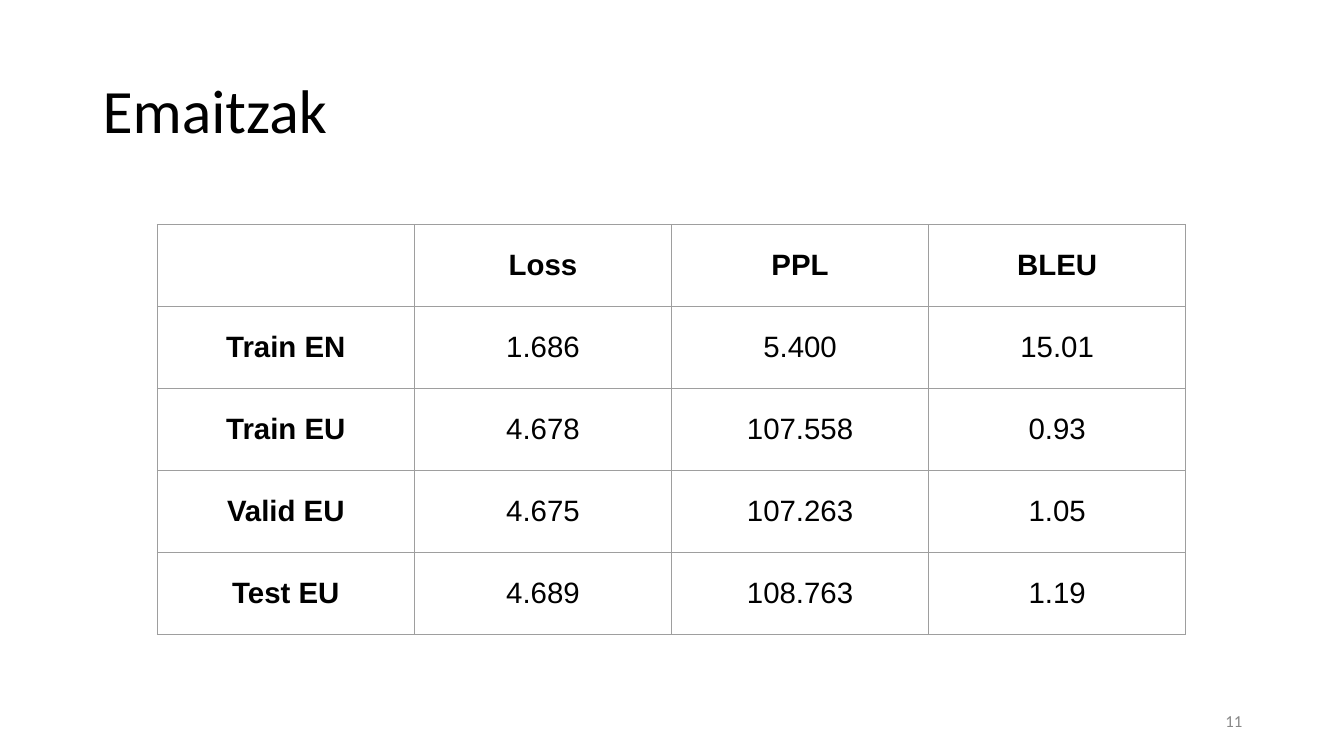
from lxml import etree
from pptx import Presentation
from pptx.dml.color import RGBColor
from pptx.enum.text import MSO_ANCHOR, PP_ALIGN
from pptx.oxml.ns import qn
from pptx.util import Inches, Pt

MIDDLE = MSO_ANCHOR.MIDDLE
LEFT, CENTER, RIGHT = PP_ALIGN.LEFT, PP_ALIGN.CENTER, PP_ALIGN.RIGHT

# Content
TITLE = "Emaitzak"
PAGE_NUMBER = "11"
RESULTS = [
    ("", "Loss", "PPL", "BLEU"),
    ("Train EN", "1.686", "5.400", "15.01"),
    ("Train EU", "4.678", "107.558", "0.93"),
    ("Valid EU", "4.675", "107.263", "1.05"),
    ("Test EU", "4.689", "108.763", "1.19"),
]
COLORS = {"text": "000000", "page": "888888", "border": "9E9E9E"}
COLUMN_WIDTH, ROW_HEIGHT, CELL_MARGIN = Inches(2.55), Inches(0.813), Inches(0.1)


def style_text(paragraph, font_name, size, color, align, bold=False):
    paragraph.alignment = align
    for run in paragraph.runs:
        run.font.name = font_name
        run.font.size = Pt(size)
        run.font.bold = bold
        run.font.color.rgb = RGBColor.from_string(color)


def add_label(slide, text, box, size, color, align):
    frame = slide.shapes.add_textbox(*map(Inches, box)).text_frame
    frame.word_wrap = True
    frame.vertical_anchor = MIDDLE
    frame.text = text
    style_text(frame.paragraphs[0], "Calibri", size, color, align)
    return frame


def add_borders(cell):
    properties = cell._tc.get_or_add_tcPr()
    for position, side in enumerate(("a:lnL", "a:lnR", "a:lnT", "a:lnB")):
        line = etree.Element(qn(side), w=str(Pt(0.75)))
        fill = etree.SubElement(line, qn("a:solidFill"))
        etree.SubElement(fill, qn("a:srgbClr"), val=COLORS["border"])
        properties.insert(position, line)


prs = Presentation()
prs.slide_width, prs.slide_height = Inches(13.33), Inches(7.5)
slide = prs.slides.add_slide(prs.slide_layouts[6])

# Title
title = add_label(slide, TITLE, (0.92, 0.4, 11.5, 1.45), 44, COLORS["text"], LEFT)
title.paragraphs[0].line_spacing = 0.9

# Results table
row_count, column_count = len(RESULTS), len(RESULTS[0])
results = slide.shapes.add_table(
    row_count, column_count, Inches(1.56), Inches(2.23),
    COLUMN_WIDTH * column_count, ROW_HEIGHT * row_count).table
results.first_row = results.horz_banding = False
for column in results.columns:
    column.width = COLUMN_WIDTH
for r, values in enumerate(RESULTS):
    results.rows[r].height = ROW_HEIGHT
    for c, value in enumerate(values):
        cell = results.cell(r, c)
        cell.text = value
        cell.vertical_anchor = MIDDLE
        cell.margin_left = cell.margin_right = CELL_MARGIN
        cell.margin_top = cell.margin_bottom = CELL_MARGIN
        cell.fill.background()
        add_borders(cell)
        style_text(cell.text_frame.paragraphs[0], "Arial", 21, COLORS["text"],
                   CENTER, bold=r == 0 or c == 0)

# Page number
add_label(slide, PAGE_NUMBER, (9.42, 6.95, 3, 0.4), 12, COLORS["page"], RIGHT)

prs.save("out.pptx")
